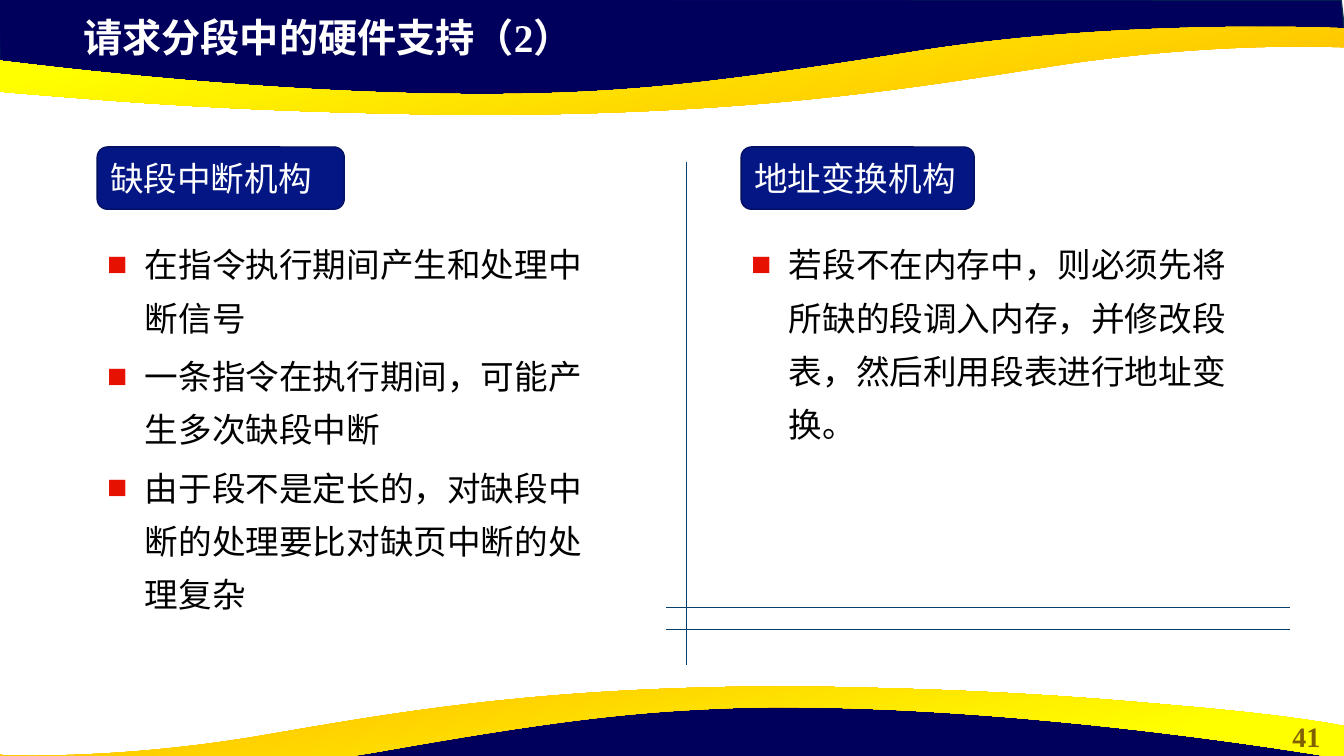
from dataclasses import dataclass

from lxml import etree
from pptx import Presentation
from pptx.dml.color import RGBColor
from pptx.enum.shapes import MSO_CONNECTOR, MSO_SHAPE
from pptx.enum.text import MSO_ANCHOR, PP_ALIGN
from pptx.oxml.ns import qn
from pptx.util import Pt

STRAIGHT = MSO_CONNECTOR.STRAIGHT
ROUNDED = MSO_SHAPE.ROUNDED_RECTANGLE
MIDDLE, TOP = MSO_ANCHOR.MIDDLE, MSO_ANCHOR.TOP
LEFT, CENTER = PP_ALIGN.LEFT, PP_ALIGN.CENTER


@dataclass(frozen=True)
class Theme:
    font: str = "Times New Roman"
    navy: str = "00005C"
    navy_edge: str = "05304F"
    gold: str = "FFC000"
    yellow: str = "FFFF00"
    label: str = "031684"
    label_edge: str = "021062"
    rule: str = "07416B"
    bullet: str = "E71101"
    number: str = "806000"
    white: str = "FFFFFF"
    black: str = "000000"
    title_size: int = 28
    body_size: int = 24
    number_size: int = 20


THEME = Theme()


@dataclass(frozen=True)
class Band:
    points: list


@dataclass(frozen=True)
class Ribbon:
    start: tuple
    segments: list
    angle: int


@dataclass(frozen=True)
class Column:
    left: float
    label: str
    label_width: float
    body_height: float
    items: list


@dataclass(frozen=True)
class Rule:
    x1: float
    y1: float
    x2: float
    y2: float


BANDS = [
    Band([(-1, -1), (0, 50), (211, 73), (402, 72), (572, 63), (732, 36),
          (891, 24), (961, 27), (958, 0)]),
    Band([(960, 572), (959, 521), (749, 498), (557, 499), (387, 508),
          (228, 535), (68, 547), (-2, 544), (1, 571)]),
]

RIBBONS = [
    Ribbon((347.8, 82.1), [
        (319, 82.1, 288.7, 81.4, 256.3, 80.6),
        (148.3, 77.8, 79.2, 72, 25.9, 67.7),
        (-63.4, 60.5, -93.6, 54, -95.8, 54),
        (-95.8, 30.2, -95.8, 30.2, -95.8, 30.2),
        (-95.8, 30.2, 157, 70.6, 372.2, 67),
        (450.7, 65.5, 509.8, 59.8, 658.8, 36),
        (806.4, 13, 959.8, 20.2, 959.8, 20.2),
        (959.8, 23),
        (959.8, 33.8),
        (957.6, 33.8),
        (939.6, 33.1, 860.4, 31, 759.6, 46.1),
        (661, 61.2, 548.6, 81.4, 347.8, 82.1),
    ], 100),
    Ribbon((555.8, 490.3), [
        (582.5, 490.3, 609.8, 491, 639.4, 491.8),
        (738, 494.6, 800.6, 500.4, 848.9, 504.7),
        (930.2, 511.9, 957.6, 518.4, 959.8, 518.4),
        (959.8, 542.2, 959.8, 542.2, 959.8, 542.2),
        (959.8, 542.2, 730.1, 501.8, 534.2, 505.4),
        (462.2, 507.6, 408.2, 512.6, 273.6, 536.4),
        (138.2, 560.2, -0.7, 553, -0.7, 553),
        (-0.7, 550.1),
        (-0.7, 538.6),
        (1.4, 539.3),
        (18, 540, 90, 541.4, 181.4, 526.3),
        (270.7, 511.2, 373.7, 491, 555.8, 490.3),
    ], 280),
]

COLUMNS = [
    Column(69.4, "缺段中断机构", 176.5, 288, [
        "在指令执行期间产生和处理中断信号",
        "一条指令在执行期间，可能产生多次缺段中断",
        "由于段不是定长的，对缺段中断的处理要比对缺页中断的处理复杂",
    ]),
    Column(529.4, "地址变换机构", 166.5, 122.5, [
        "若段不在内存中，则必须先将所缺的段调入内存，并修改段表，然后利用段表进行地址变换。",
    ]),
]

RULES = [Rule(490.5, 116, 490.5, 475)] + [
    Rule(476, y, 921.5, y) for y in (434, 449.6)
]


def rgb(value: str) -> RGBColor:
    return RGBColor.from_string(value)


def draw_outline(slide, points: list):
    corners = [(Pt(x), Pt(y)) for x, y in points]
    builder = slide.shapes.build_freeform(*corners[0])
    builder.add_line_segments(corners[1:], close=True)
    sp = builder.convert_to_shape()
    sp.shadow.inherit = False
    return sp


def bend(sp, segments: list) -> None:
    straight = list(sp._element.iter(qn("a:lnTo")))
    for line, segment in zip(straight, segments):
        if len(segment) == 2:
            continue
        curve = etree.Element(qn("a:cubicBezTo"))
        for x, y in zip(segment[::2], segment[1::2]):
            etree.SubElement(curve, qn("a:pt"), x=str(Pt(x) - sp.left),
                             y=str(Pt(y) - sp.top))
        line.getparent().replace(line, curve)


def paint(sp, fill: str, edge: str) -> None:
    sp.fill.solid()
    sp.fill.fore_color.rgb = rgb(fill)
    sp.line.color.rgb = rgb(edge)
    sp.line.width = Pt(1)


def draw_band(slide, band: Band) -> None:
    paint(draw_outline(slide, band.points), THEME.navy, THEME.navy_edge)


def draw_ribbon(slide, ribbon: Ribbon) -> None:
    ends = [segment[-2:] for segment in ribbon.segments]
    sp = draw_outline(slide, [ribbon.start] + ends)
    bend(sp, ribbon.segments)
    sp.line.fill.background()
    sp.fill.gradient()
    sp.fill.gradient_angle = ribbon.angle
    stops = ((0.11, THEME.gold), (0.78, THEME.yellow))
    for stop, (position, color) in zip(sp.fill.gradient_stops, stops):
        stop.position = position
        stop.color.rgb = rgb(color)


def add_bullet(p) -> None:
    pPr = p._p.get_or_add_pPr()
    pPr.set("marL", str(Pt(27)))
    pPr.set("indent", str(Pt(-27)))
    color = etree.SubElement(pPr, qn("a:buClr"))
    etree.SubElement(color, qn("a:srgbClr"), val=THEME.bullet)
    etree.SubElement(pPr, qn("a:buFont"), typeface=THEME.font)
    etree.SubElement(pPr, qn("a:buChar"), char="■")


def write(sp, *texts: str, size: int, color: str, bold: bool = False,
          align=LEFT, anchor=TOP, bullets: bool = False) -> None:
    tf = sp.text_frame
    tf.word_wrap = True
    tf.vertical_anchor = anchor
    for i, text in enumerate(texts):
        p = tf.add_paragraph() if i else tf.paragraphs[0]
        p.alignment = align
        if bullets:
            add_bullet(p)
            p.line_spacing = 1.32
            p.space_before = Pt(3.7 if i else 0)
        r = p.add_run()
        r.text = text
        r.font.name = THEME.font
        r.font.size = Pt(size)
        r.font.bold = bold
        r.font.color.rgb = rgb(color)


def add_box(slide, left: float, top: float, width: float, height: float):
    return slide.shapes.add_textbox(Pt(left), Pt(top), Pt(width), Pt(height))


def draw_column(slide, column: Column) -> None:
    sp = slide.shapes.add_shape(ROUNDED, Pt(column.left), Pt(105),
                                Pt(column.label_width), Pt(44.5))
    sp.shadow.inherit = False
    paint(sp, THEME.label, THEME.label_edge)
    write(sp, column.label, size=THEME.body_size, color=THEME.white, anchor=MIDDLE)
    body = add_box(slide, column.left, 161.7, 361.5, column.body_height)
    write(body, *column.items, size=THEME.body_size, color=THEME.black, bullets=True)


def draw_rule(slide, rule: Rule) -> None:
    line = slide.shapes.add_connector(STRAIGHT, Pt(rule.x1), Pt(rule.y1),
                                      Pt(rule.x2), Pt(rule.y2))
    line.line.color.rgb = rgb(THEME.rule)
    line.line.width = Pt(0.5)
    etree.SubElement(line._element.spPr, qn("a:effectLst"))


def main() -> None:
    prs = Presentation()
    prs.slide_width, prs.slide_height = Pt(960), Pt(540)
    slide = prs.slides.add_slide(prs.slide_layouts[6])
    for band, ribbon in zip(BANDS, RIBBONS):
        draw_band(slide, band)
        draw_ribbon(slide, ribbon)
    write(add_box(slide, 907, 510.7, 52.5, 31.5), "41", size=THEME.number_size,
          color=THEME.number, bold=True, align=CENTER)
    write(add_box(slide, 52.5, 6.2, 553, 41), "请求分段中的硬件支持（2）",
          size=THEME.title_size, color=THEME.white, bold=True)
    for column in COLUMNS:
        draw_column(slide, column)
    for rule in RULES:
        draw_rule(slide, rule)
    prs.save("out.pptx")


if __name__ == "__main__":
    main()
